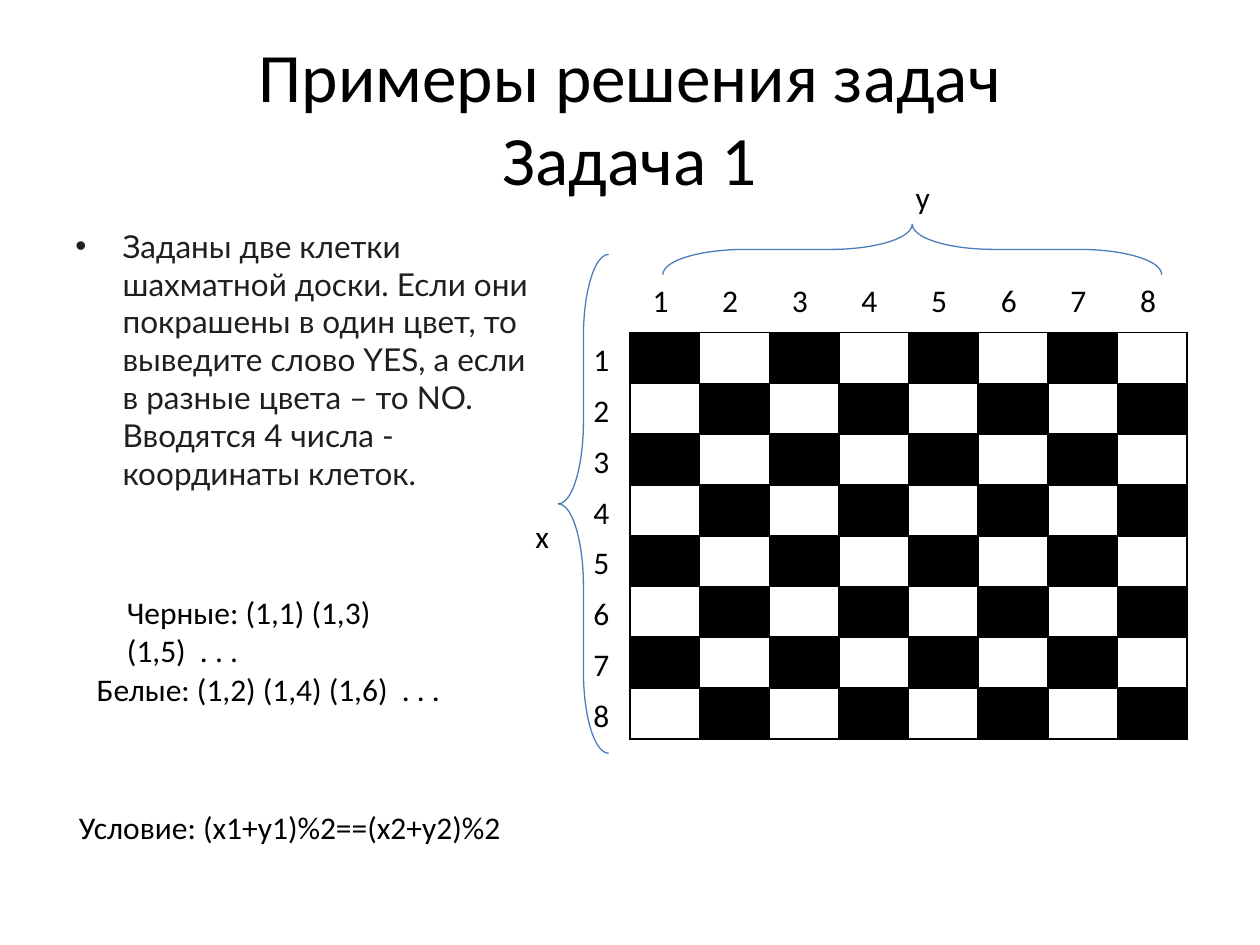
from lxml.etree import SubElement as Sub
from pptx import Presentation as Deck
from pptx.dml.color import RGBColor as Rgb
from pptx.enum.shapes import MSO_SHAPE as Kind
from pptx.enum.text import MSO_ANCHOR as Anchor, MSO_AUTO_SIZE as Fit, PP_ALIGN as Align
from pptx.oxml import parse_xml
from pptx.oxml.ns import nsdecls, qn
from pptx.util import Pt

HUES = {"ink": "000000", "soft": "1F1F1F", "brace": "4B7EBC"}
SIDE = 8
CELL_W, CELL_H = 39.8, 29
LEFT, TOP = 360, 190


class Page:
    base = {"name": "Calibri", "size": Pt(18)}

    def __init__(self, slide):
        self.slide = slide

    def style(self, para, hue="ink", **extra):
        for run in para.runs:
            for key, value in {**self.base, **extra}.items():
                setattr(run.font, key, value)
            run.font.color.rgb = Rgb.from_string(HUES[hue])

    def title(self, text, box):
        shape = self.slide.shapes.title
        for key, value in zip(("left", "top", "width", "height"), box):
            setattr(shape, key, Pt(value))
        frame = shape.text_frame
        form = {"auto_size": Fit.NONE, "vertical_anchor": Anchor.MIDDLE, "word_wrap": True}
        for key, value in form.items():
            setattr(frame, key, value)
        para = frame.paragraphs[0]
        para.text = text
        para.alignment = Align.CENTER
        self.style(para, size=Pt(39.6))

    def text(self, text, box, form=None, align=None, **look):
        shape = self.slide.shapes.add_textbox(*map(Pt, box))
        frame = shape.text_frame
        base = {"word_wrap": True, "auto_size": Fit.SHAPE_TO_FIT_TEXT}
        for key, value in {**base, **(form or {})}.items():
            setattr(frame, key, value)
        para = frame.paragraphs[0]
        para.text = text
        para.alignment = align
        self.style(para, **look)
        return para

    def bullet(self, text, box, **look):
        para = self.text(text, box, {"auto_size": Fit.NONE}, **look)
        props = para._p.get_or_add_pPr()
        props.set("marL", str(Pt(27)))
        props.set("indent", str(Pt(-27)))
        Sub(props, qn("a:buFont")).set("typeface", "Arial")
        Sub(props, qn("a:buChar")).set("char", "•")

    def tabs(self, items, box, step):
        para = self.text("\t".join(items), box)
        stops = Sub(para._p.get_or_add_pPr(), qn("a:tabLst"))
        for i in range(1, len(items)):
            stop = Sub(stops, qn("a:tab"))
            stop.set("pos", str(Pt(step * i)))
            stop.set("algn", "l")

    def brace(self, box, turn=0):
        shape = self.slide.shapes.add_shape(Kind.LEFT_BRACE, *map(Pt, box))
        shape.adjustments[0] = 1.63
        shape.rotation = turn
        shape.shadow.inherit = False
        shape.fill.background()
        shape.line.color.rgb = Rgb.from_string(HUES["brace"])
        shape.line.width = Pt(0.75)

    def edge(self, cell):
        props = cell._tc.get_or_add_tcPr()
        for i, side in enumerate("LRTB"):
            props.insert(i, parse_xml(
                f'<a:ln{side} {nsdecls("a")} w="{Pt(1)}"><a:solidFill>'
                f'<a:srgbClr val="{HUES["ink"]}"/></a:solidFill></a:ln{side}>'))

    def rank(self, row):
        box = LEFT, TOP + row * CELL_H, SIDE * CELL_W, CELL_H
        table = self.slide.shapes.add_table(1, SIDE, *map(Pt, box)).table
        for key in ("first_row", "horz_banding"):
            setattr(table, key, False)
        for col in range(SIDE):
            table.columns[col].width = Pt(CELL_W)
            cell = table.cell(0, col)
            if (row + col) % 2:
                cell.fill.background()
            else:
                cell.fill.solid()
                cell.fill.fore_color.rgb = Rgb.from_string(HUES["ink"])
            self.edge(cell)


def main():
    deck = Deck()
    deck.slide_width, deck.slide_height = Pt(720), Pt(540)
    page = Page(deck.slides.add_slide(deck.slide_layouts[5]))

    page.title("Примеры решения задач\vЗадача 1", (36, 21.6, 648, 90))
    page.bullet(
        "Заданы две клетки шахматной доски. Если они покрашены в один цвет, "
        "то выведите слово YES, а если в разные цвета – то NO. "
        "Вводятся 4 числа - координаты клеток.",
        (36, 126, 278.6, 356.4), hue="soft", name="Lato")

    for row in range(SIDE):
        page.rank(row)
    marks = [str(n + 1) for n in range(SIDE)]
    page.tabs(marks, (365.8, 157, 311.8, 29), CELL_W)
    for row, mark in enumerate(marks):
        page.text(mark, (332, TOP + 1 + row * CELL_H, 22.3, 29))

    page.text("у", (516.2, 98, 90.7, 29))
    page.brace((319, 145.4, 28.8, 285.1))
    page.text("х", (298.8, 291.6, 90.7, 29))
    page.text("Условие: (х1+у1)%2==(х2+у2)%2", (20.2, 458, 290.9, 29), align=Align.CENTER)
    page.text("Черные: (1,1) (1,3) (1,5)  . . .", (65.5, 335.5, 220.3, 51),
              {"margin_right": Pt(50)})
    page.text("Белые: (1,2) (1,4) (1,6)  . . .", (48.2, 379.4, 236.9, 29))
    page.brace((506.9, 0, 28.8, 285.1), 90)

    deck.save("out.pptx")


if __name__ == "__main__":
    main()
